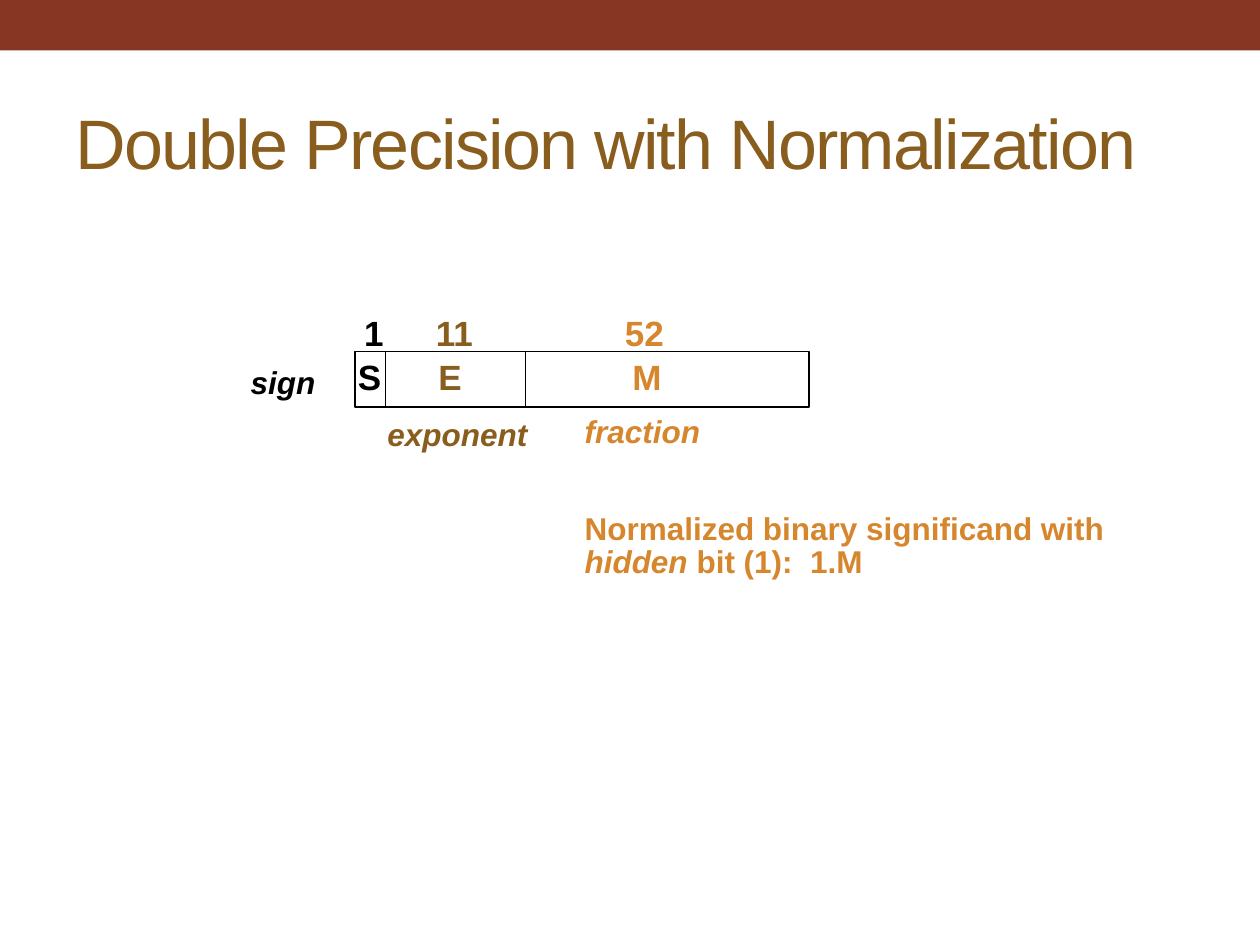
import pptx
import pptx.dml.color
import pptx.enum.shapes
import pptx.enum.text
import pptx.oxml.ns
import pptx.util
import lxml.etree

PX = 9144  # 100 px to the inch
FONT = "Arial"
COLORS = {"bar": "873624", "brown": "895D1D", "orange": "D6862D", "black": "000000"}
ALIGN = pptx.enum.text.PP_ALIGN


def rgb(name):
    return pptx.dml.color.RGBColor.from_string(COLORS[name])


def add_label(shapes, box, lines, size, color, italic=False, align=ALIGN.LEFT):
    """Add a bold label; each line becomes one paragraph."""
    label = shapes.add_textbox(*(n * PX for n in box))
    frame = label.text_frame
    frame.word_wrap = False
    frame.auto_size = pptx.enum.text.MSO_AUTO_SIZE.SHAPE_TO_FIT_TEXT
    frame.margin_left = frame.margin_right = 7 * PX
    frame.margin_top = frame.margin_bottom = 3 * PX
    frame.text = "\n".join(lines)
    for paragraph in frame.paragraphs:
        paragraph.alignment = align
        paragraph.line_spacing = 0.85
        font = paragraph.font
        font.name, font.size, font.bold = FONT, pptx.util.Pt(size), True
        font.italic = italic
        font.color.rgb = rgb(color)
    return frame


presentation = pptx.Presentation()
presentation.slide_width = 1000 * PX
presentation.slide_height = 750 * PX
slide = presentation.slides.add_slide(presentation.slide_layouts[5])
RECTANGLE = pptx.enum.shapes.MSO_SHAPE.RECTANGLE

# Top bar
bar = slide.shapes.add_shape(RECTANGLE, 0, 0, 1000 * PX, 40 * PX)
bar.shadow.inherit = False
bar.fill.solid()
bar.fill.fore_color.rgb = rgb("bar")
bar.line.fill.background()

# Title
title = slide.shapes.title
title.left, title.top, title.width, title.height = (n * PX for n in (50, 58, 900, 108))
title.text_frame.text = "Double Precision with Normalization"
title.text_frame.vertical_anchor = pptx.enum.text.MSO_ANCHOR.MIDDLE
paragraph = title.text_frame.paragraphs[0]
paragraph.alignment = ALIGN.LEFT
paragraph.font.name, paragraph.font.size = FONT, pptx.util.Pt(40)
paragraph.font.color.rgb = rgb("brown")
paragraph.runs[0].font._element.set("spc", "-100")

# Number format: one box divided into three fields
diagram = slide.shapes.add_group_shape().shapes
word_top, word_height = 279, 44
word = diagram.add_shape(RECTANGLE, 282 * PX, word_top * PX, 360 * PX, word_height * PX)
word.shadow.inherit = False
word.fill.background()
word.line.color.rgb = rgb("black")
word.line.width = pptx.util.Pt(1)

for x in (306, 417):
    divider = diagram.add_connector(
        pptx.enum.shapes.MSO_CONNECTOR.STRAIGHT,
        x * PX, word_top * PX, x * PX, (word_top + word_height) * PX)
    divider.line.color.rgb = rgb("black")
    divider.line.width = pptx.util.Pt(1)
    lxml.etree.SubElement(divider._element.spPr, pptx.oxml.ns.qn("a:effectLst"))

# Bit widths above the box and letters inside it
fields = [
    ("1", 282, 29, "S", 277, 32, "black"),
    ("11", 339, 44, "E", 341, 32, "brown"),
    ("52", 489, 45, "M", 495, 37, "orange"),
]
for bits, bits_left, bits_width, letter, letter_left, letter_width, color in fields:
    add_label(diagram, (bits_left, 249, bits_width, 34), [bits], 20, color)
    add_label(diagram, (letter_left, 284, letter_width, 34), [letter], 20, color)

# Field names
add_label(diagram, (192, 290, 70, 31), ["sign"], 18, "black", italic=True)
add_label(diagram, (299, 331, 128, 31), ["exponent"], 18, "brown", italic=True,
          align=ALIGN.CENTER)

# Fraction name with the note on the hidden bit
fraction = add_label(diagram, (457, 329, 440, 134), ["fraction", ""], 18, "orange", italic=True)
note = fraction.paragraphs[1]
note.space_before = pptx.util.Pt(37)
note.add_run().text = "Normalized binary significand with "
note.add_line_break()
note.add_run().text = "hidden"
note.add_run().text = " bit (1):  1.M"
for run in note.runs:
    run.font.italic = run.text == "hidden"

presentation.save("out.pptx")
